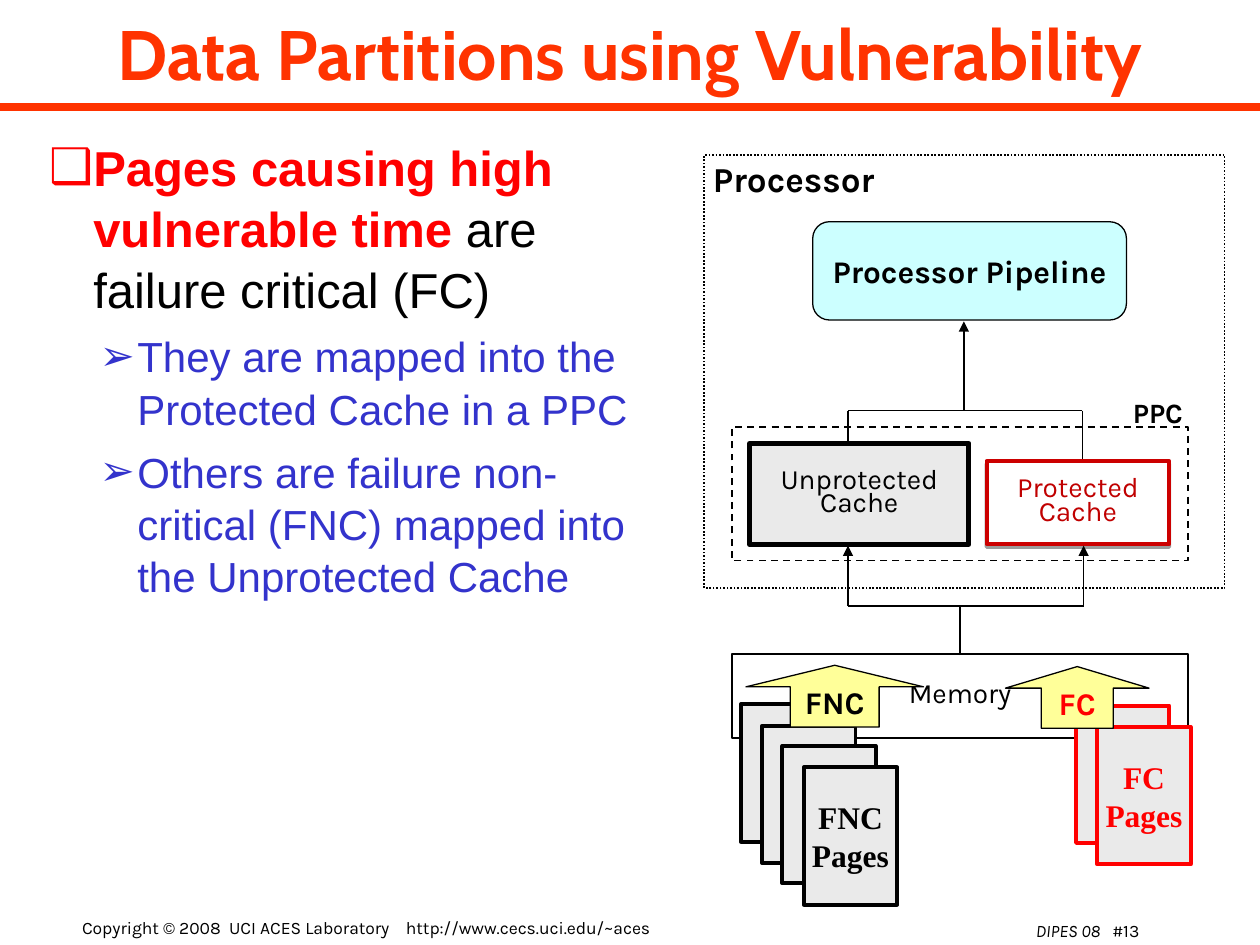
from dataclasses import dataclass
from typing import NamedTuple, Optional

from lxml import etree
from pptx import Presentation
from pptx.dml.color import RGBColor
from pptx.enum.dml import MSO_LINE
from pptx.enum.shapes import MSO_CONNECTOR, MSO_SHAPE
from pptx.enum.text import MSO_ANCHOR, MSO_AUTO_SIZE, PP_ALIGN
from pptx.oxml.ns import qn
from pptx.util import Emu, Pt

PX = 9144  # 100 px to the inch
RECT, ROUNDED, UP_ARROW = MSO_SHAPE.RECTANGLE, MSO_SHAPE.ROUNDED_RECTANGLE, MSO_SHAPE.UP_ARROW
STRAIGHT = MSO_CONNECTOR.STRAIGHT
DASH, DOT = MSO_LINE.DASH, MSO_LINE.ROUND_DOT
LEFT, CENTER, RIGHT = PP_ALIGN.LEFT, PP_ALIGN.CENTER, PP_ALIGN.RIGHT
TOP, MIDDLE = MSO_ANCHOR.TOP, MSO_ANCHOR.MIDDLE


@dataclass(frozen=True)
class Theme:
    accent: str = "FF3300"
    black: str = "000000"
    white: str = "FFFFFF"
    red: str = "FF0000"
    blue: str = "3333CC"
    cyan: str = "CCFFFF"
    gray: str = "EAEAEA"
    yellow: str = "FFFF99"
    cache_line: str = "CC0000"
    cache_text: str = "C00000"
    title_font: str = "Cabin"
    body_font: str = "Arial"
    label_font: str = "Karla"
    page_font: str = "Times New Roman"
    title_size: int = 40
    body_size: int = 28
    sub_size: int = 24
    heading_size: int = 20
    label_size: int = 18
    small_size: int = 16
    footer_size: int = 10


THEME = Theme()


class Area(NamedTuple):
    left: int
    top: int
    width: int
    height: int


@dataclass(frozen=True)
class Style:
    size: int = THEME.small_size
    color: str = THEME.black
    bold: bool = False
    font: str = THEME.label_font
    italic: bool = False


@dataclass(frozen=True)
class Label:
    text: str
    style: Style = Style()
    spacing: float = 1.0
    align: PP_ALIGN = CENTER


@dataclass(frozen=True)
class Block:
    area: Area
    fill: Optional[str] = None
    line: str = THEME.black
    weight: float = 0.75
    label: Optional[Label] = None
    kind: MSO_SHAPE = RECT
    dash: Optional[MSO_LINE] = None
    adjustments: tuple[float, ...] = ()


class Bullet(NamedTuple):
    spans: list[tuple[str, Style]]
    level: int
    mark: str
    indent: int
    hanging: int
    before: int


def place(shape, area: Area) -> None:
    shape.left, shape.top, shape.width, shape.height = (Emu(v * PX) for v in area)


def format_span(span, style: Style) -> None:
    span.font.name, span.font.size = style.font, Pt(style.size)
    span.font.bold, span.font.italic = style.bold, style.italic
    span.font.color.rgb = RGBColor.from_string(style.color)


def write_label(frame, label: Label, anchor: MSO_ANCHOR, wrap: bool) -> None:
    frame.text = label.text
    frame.word_wrap, frame.vertical_anchor = wrap, anchor
    for para in frame.paragraphs:
        para.alignment, para.line_spacing = label.align, label.spacing
        for span in para.runs:
            format_span(span, label.style)


def add_text(page, area: Area, label: Label, wrap: bool = True):
    box = page.shapes.add_textbox(*(Emu(v * PX) for v in area))
    write_label(box.text_frame, label, TOP, wrap)
    return box


def add_block(page, block: Block):
    shape = page.shapes.add_shape(block.kind, *(Emu(v * PX) for v in block.area))
    shape.shadow.inherit = False
    for index, value in enumerate(block.adjustments):
        shape.adjustments[index] = value
    if block.fill:
        shape.fill.solid()
        shape.fill.fore_color.rgb = RGBColor.from_string(block.fill)
    else:
        shape.fill.background()
    shape.line.color.rgb = RGBColor.from_string(block.line)
    shape.line.width = Pt(block.weight)
    if block.dash:
        shape.line.dash_style = block.dash
    if block.label:
        write_label(shape.text_frame, block.label, MIDDLE, False)
    return shape


def add_line(page, start: tuple[int, int], end: tuple[int, int], arrow: bool = False,
             color: str = THEME.black, weight: float = 0.75) -> None:
    line = page.shapes.add_connector(STRAIGHT, *(Emu(v * PX) for v in start + end))
    line.line.color.rgb = RGBColor.from_string(color)
    line.line.width = Pt(weight)
    if arrow:
        etree.SubElement(line.line._get_or_add_ln(), qn("a:tailEnd"), type="triangle")
    etree.SubElement(line._element.spPr, qn("a:effectLst"))


def add_drop_shadow(shape) -> None:
    effects = shape._element.spPr.find(qn("a:effectLst"))
    shadow = etree.SubElement(effects, qn("a:outerShdw"), blurRad="0", dist="20320",
                              dir="5400000", rotWithShape="0")
    color = etree.SubElement(shadow, qn("a:srgbClr"), val=THEME.black)
    etree.SubElement(color, qn("a:alpha"), val="38000")


def write_bullet(para, bullet: Bullet) -> None:
    para.level, para.line_spacing, para.space_before = bullet.level, 1.04, Pt(bullet.before)
    properties = para._p.get_or_add_pPr()
    properties.set("marL", str(bullet.indent * PX))
    properties.set("indent", str(-bullet.hanging * PX))
    color = etree.SubElement(properties, qn("a:buClr"))
    etree.SubElement(color, qn("a:srgbClr"), val=bullet.spans[0][1].color)
    etree.SubElement(properties, qn("a:buChar"), char=bullet.mark)
    for text, style in bullet.spans:
        span = para.add_run()
        span.text = text
        format_span(span, style)


def add_page_stack(page, left: int, top: int, count: int, color: str, text: str) -> None:
    """Draw overlapping memory pages, with the label on the front one."""
    label = Label(text, Style(THEME.label_size, color, True, THEME.page_font))
    for index in range(count):
        offset = round(index * 16.6)
        add_block(page, Block(Area(left + offset, top + offset, 74, 109), THEME.gray, color, 2.25,
                              label if index == count - 1 else None))


def write_content(page) -> None:
    title, body = page.shapes.title, page.placeholders[1]
    place(title, Area(0, 0, 1000, 84))
    write_label(title.text_frame, Label("Data Partitions using Vulnerability", Style(
        THEME.title_size, THEME.accent, True, THEME.title_font)), MIDDLE, True)
    place(body, Area(29, 102, 485, 575))
    for frame in (title.text_frame, body.text_frame):
        frame.auto_size = MSO_AUTO_SIZE.NONE
    strong = Style(THEME.body_size, THEME.red, True, THEME.body_font)
    plain = Style(THEME.body_size, font=THEME.body_font)
    sub = Style(THEME.sub_size, THEME.blue, font=THEME.body_font)
    bullets = [Bullet([("Pages causing high vulnerable time ", strong),
                       ("are failure critical (FC)", plain)], 0, "❑", 35, 35, 0)]
    bullets += [Bullet([(text, sub)], 1, "➢", 70, 30, 6) for text in (
        "They are mapped into the Protected Cache in a PPC",
        "Others are failure non-critical (FNC) mapped into the Unprotected Cache")]
    frame = body.text_frame
    for index, bullet in enumerate(bullets):
        write_bullet(frame.add_paragraph() if index else frame.paragraphs[0], bullet)


def write_footer(page) -> None:
    footer = Style(THEME.footer_size)
    add_text(page, Area(0, 723, 581, 27), Label(
        "Copyright © 2008  UCI ACES Laboratory    http://www.cecs.uci.edu/~aces", footer))
    box = add_text(page, Area(665, 725, 249, 29), Label(
        "DIPES 08 ", Style(THEME.footer_size, italic=True), align=RIGHT))
    number = box.text_frame.paragraphs[0].add_run()
    number.text = "  #13"
    format_span(number, footer)


def draw_processor(page) -> None:
    bold = Style(THEME.label_size, bold=True)
    add_block(page, Block(Area(645, 176, 249, 78), THEME.cyan, kind=ROUNDED,
                          adjustments=(0.17,), label=Label("Processor Pipeline", bold)))
    add_block(page, Block(Area(559, 123, 413, 344), weight=1, dash=DOT))
    for start, end in (((673, 326), (673, 352)), ((859, 326), (859, 364)),
                       ((673, 326), (859, 326))):
        add_line(page, start, end)
    add_line(page, (765, 325), (765, 255), arrow=True)
    add_text(page, Area(556, 120, 155, 44), Label(
        "Processor", Style(THEME.heading_size, bold=True), align=LEFT), wrap=False)
    add_block(page, Block(Area(595, 352, 174, 80), THEME.gray, weight=3,
                          label=Label("Unprotected\nCache", spacing=0.7)))
    protected = add_block(page, Block(
        Area(783, 366, 145, 66), THEME.white, THEME.cache_line, 2.25,
        Label("Protected\nCache", Style(color=THEME.cache_text), 0.7)))
    add_drop_shadow(protected)


def draw_memory(page) -> None:
    add_block(page, Block(Area(581, 519, 362, 67), THEME.white, weight=1,
                          label=Label("Memory", spacing=0.7)))
    add_text(page, Area(887, 316, 64, 29), Label("PPC", Style(bold=True), 0.7))
    add_block(page, Block(Area(581, 339, 362, 106), weight=1, dash=DASH))
    add_line(page, (673, 481), (860, 481))
    add_line(page, (762, 520), (762, 481))
    for x in (860, 673):
        add_line(page, (x, 481), (x, 433), arrow=True)
    add_page_stack(page, 854, 560, 2, THEME.red, "FC\nPages")
    add_page_stack(page, 588, 559, 4, THEME.black, "FNC\nPages")
    for area, text, color in ((Area(592, 528, 141, 49), "FNC", THEME.black),
                              (Area(798, 529, 114, 49), "FC", THEME.red)):
        add_block(page, Block(area, THEME.yellow, kind=UP_ARROW, adjustments=(0.5, 0.35),
                              label=Label(text, Style(THEME.label_size, color, True))))


def main() -> None:
    deck = Presentation()
    deck.slide_width, deck.slide_height = Emu(1000 * PX), Emu(750 * PX)
    page = deck.slides.add_slide(deck.slide_layouts[1])
    add_line(page, (0, 85), (1000, 85), color=THEME.accent, weight=4.5)
    write_content(page)
    write_footer(page)
    draw_processor(page)
    draw_memory(page)
    deck.save("out.pptx")


if __name__ == "__main__":
    main()
